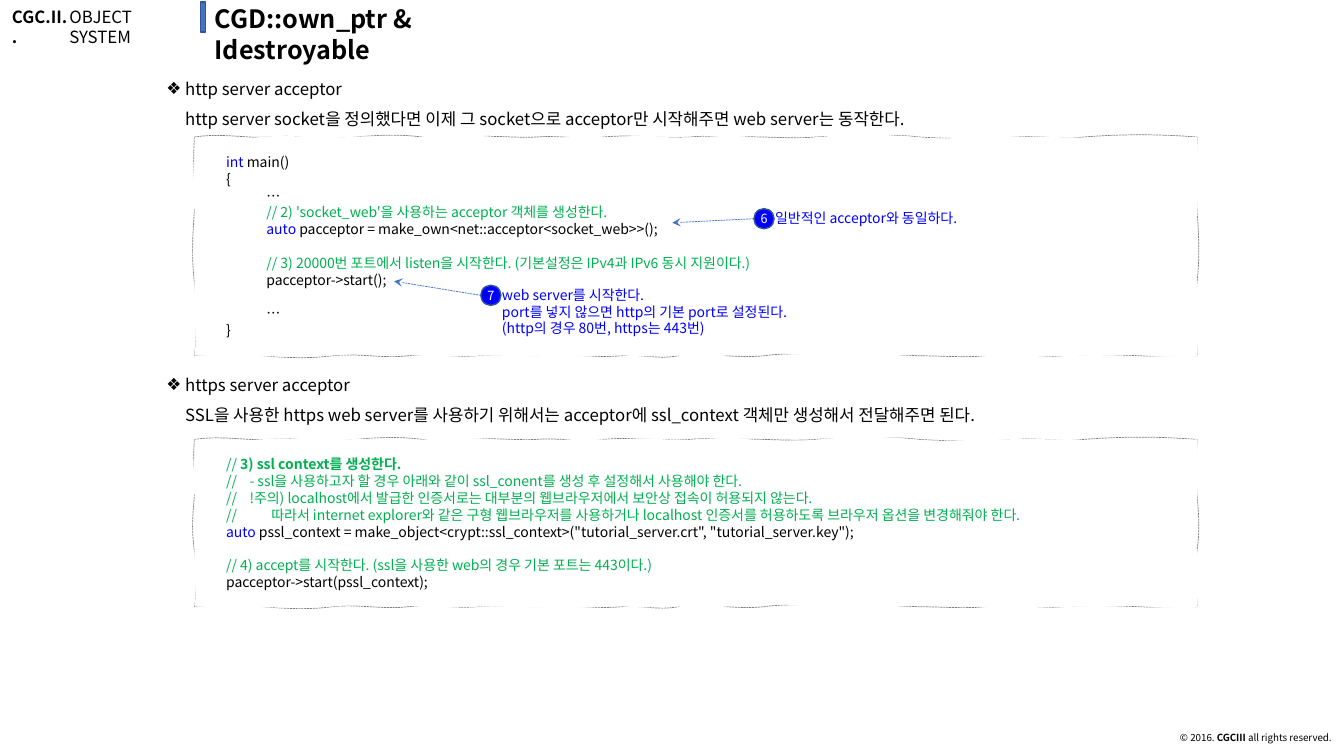
from dataclasses import dataclass
from lxml import etree
from pptx import Presentation
from pptx import util as u
from pptx.dml.color import RGBColor
from pptx.enum import dml, shapes, text
from pptx.oxml import ns

FONT = "Noto Sans CJK KR"
BLACK = RGBColor(0x00, 0x00, 0x00)
WHITE = RGBColor(0xFF, 0xFF, 0xFF)
BLUE = RGBColor(0x00, 0x00, 0xFF)
GREEN = RGBColor(0x00, 0xB0, 0x50)
GRAY = RGBColor(0x80, 0x80, 0x80)
STEEL = RGBColor(0x44, 0x72, 0xC4)
NAVY = RGBColor(0x32, 0x54, 0x91)
COLS, LEFT, WIDE, WAVE = 80, 11.58, 59.67, 0.06

deck = Presentation()
deck.slide_width, deck.slide_height = u.Emu(12192000), u.Emu(6858000)
CELL = deck.slide_width // COLS
slide = deck.slides.add_slide(deck.slide_layouts[3])


@dataclass
class Run:
    text: str
    color: RGBColor = BLACK
    bold: bool | None = None


@dataclass
class Line:
    runs: list[Run]
    gap: int = 0


@dataclass
class Panel:
    top: float
    high: float
    lines: list[Line]


@dataclass
class Topic:
    slot: int
    top: float
    words: str


@dataclass
class Note:
    mark: str
    left: float
    top: float
    high: float
    tip: tuple[float, float]
    words: str


THIRDS = (33.33, 66.67, 100)
RIM = [
    [(5.6, -3, -1), (10.4, 1, -2), (16.1, 2, 2), (22.7, -2, -3), (27.5, 3, 1),
     (34.1, -2, 1), (40.8, -2, 3), (49.5, -3, 2), (54.2, -2, 1), (62, -1, 2),
     (67.6, -2, 2), (72.3, -2, -2), (82, 2, 2), (88.7, -2, 3), (100, -3, -3)],
    list(zip(THIRDS, (0, 2, -2), (-1, 3, 1))),
    [(5.6, -1, 1), (13.4, -1, -2), (21, 2, -2), (27.8, 2, 0), (36.4, -2, 2),
     (43.2, -2, -3), (51.8, 3, -4), (57.5, 4, -2), (63.3, 2, -1), (71.9, 1, -2),
     (78.7, 2, -3), (86.3, 3, -3), (93.1, 3, 2), (100, -2, -3)],
    list(zip(THIRDS, (3, -3, 1), (2, -2, -2))),
]
PAPER = [
    [(6.6, 3, 3), (15.4, -3, 2), (25, -2, 1), (29.8, -1, -2), (37.4, 2, 2),
     (42.2, -2, 1), (46.9, -1, -2), (55.5, 2, -3), (62.3, 3, 2), (71.9, -3, -3),
     (79.7, 3, 0), (85.3, 0, -1), (100, 1, 2)],
    list(zip(THIRDS, (2, 1, 3), (0, -2, 2))),
    [(4.6, 0, 2), (12.4, -2, 0), (22, 0, 4), (29.8, -4, -2), (38.4, 2, 3),
     (47.2, -3, -4), (53.8, 4, -2), (59.6, 2, -2), (69.2, 2, 1), (77, -1, 2),
     (86.6, -2, -3), (100, 3, -2)],
    list(zip(THIRDS, (3, 0, -4), (-1, 3, 2))),
]

PANELS = [
    Panel(8.16, 13.02, [
        Line([Run("int", BLUE), Run(" main()")]),
        Line([Run("{")]),
        Line([Run("\t…")]),
        Line([Run("\t// 2) 'socket_web'을 사용하는 acceptor 객체를 생성한다.", GREEN)]),
        Line([Run("\tauto", BLUE), Run(" pacceptor = make_own<net::acceptor<socket_web>>();")]),
        Line([Run("\t// 3) 20000번 포트에서 listen을 시작한다. "
                  "(기본설정은 IPv4과 IPv6 동시 지원이다.)", GREEN)], 12),
        Line([Run("\tpacceptor->start();")]),
        Line([Run("\t…")], 12),
        Line([Run("}")]),
    ]),
    Panel(26.16, 9.96, [
        Line([Run("// ", GREEN), Run("3) ssl context를 생성한다.", GREEN, True)]),
        Line([Run("//    - ssl을 사용하고자 할 경우 아래와 같이 "
                  "ssl_conent를 생성 후 설정해서 사용해야 한다.", GREEN)]),
        Line([Run("//    !주의) localhost에서 발급한 인증서로는 대부분의 "
                  "웹브라우저에서 보안상 접속이 허용되지 않는다.", GREEN)]),
        Line([Run("//           따라서 internet explorer와 같은 구형 웹브라우저를 사용하거나 "
                  "localhost 인증서를 허용하도록 브라우저 옵션을 변경해줘야 한다.", GREEN)]),
        Line([Run("auto", BLUE), Run(' pssl_context = make_object<crypt::ssl_context>'
                                     '("tutorial_server.crt", "tutorial_server.key");')]),
        Line([Run("// 4) accept를 시작한다. (ssl을 사용한 web의 경우 기본 포트는 443이다.)", GREEN)], 12),
        Line([Run("pacceptor->start(pssl_context);")]),
    ]),
]
TOPICS = [
    Topic(1, 3.78, "http server acceptor\vhttp server socket을 정의했다면 이제 그 "
          "socket으로 acceptor만 시작해주면 web server는 동작한다."),
    Topic(2, 21.4, "https server acceptor\vSSL을 사용한 https web server를 사용하기 "
          "위해서는 acceptor에 ssl_context 객체만 생성해서 전달해주면 된다."),
]
NOTES = [
    Note("6", 44.88, 12.42, 1.62, (40.02, 13.26), "일반적인 acceptor와 동일하다."),
    Note("7", 28.62, 16.98, 3.66, (23.46, 16.74), "web server를 시작한다.\v"
         "port를 넣지 않으면 http의 기본 port로 설정된다.\v(http의 경우 80번, https는 443번)"),
]


def grid(*nums: float) -> list[u.Emu]:
    return [u.Emu(round(n * CELL)) for n in nums]


def style(par, size: float, bold: bool = False, color: RGBColor = BLACK) -> None:
    font = par.font
    font.size, font.bold, font.name = u.Pt(size), bold, FONT
    font.color.rgb = color


def fill(par, runs: list[Run]) -> None:
    for item in runs:
        run = par.add_run()
        run.text, run.font.bold = item.text, item.bold
        run.font.color.rgb = item.color


def place(shape, left: float, top: float, wide: float, high: float):
    shape.left, shape.top, shape.width, shape.height = grid(left, top, wide, high)
    frame = shape.text_frame
    frame.word_wrap, frame.auto_size = True, text.MSO_AUTO_SIZE.NONE
    frame.vertical_anchor = text.MSO_ANCHOR.TOP
    return frame.paragraphs[0]


def label(words: str, box: tuple, size: float, color: RGBColor = BLACK, bold: bool = False) -> None:
    par = place(slide.shapes.add_textbox(0, 0, 0, 0), *box)
    par.text = words
    style(par, size, bold, color)


def paint(shape, color: RGBColor, edge: RGBColor = NAVY, width: float = 1) -> None:
    shape.shadow.inherit = False
    shape.fill.solid()
    shape.fill.fore_color.rgb = color
    shape.line.color.rgb, shape.line.width = edge, u.Pt(width)


def trace(paths, sides: list, high: float, **look: str) -> None:
    wide, tall = grid(WIDE, high)
    path = etree.SubElement(paths, ns.qn("a:path"), w=str(wide), h=str(tall), **look)

    def node(tag: str, *dots: tuple) -> None:
        item = etree.SubElement(path, ns.qn(tag))
        for x, y in dots:
            px, py = grid(x, y)
            etree.SubElement(item, ns.qn("a:pt"), x=str(px), y=str(py))

    ends = [(0, 0), (WIDE, 0), (WIDE, high), (0, high), (0, 0)]
    node("a:moveTo", ends[0])
    for side, (ax, ay), (bx, by) in zip(sides, ends, ends[1:]):
        last = 0
        for share, near, far in side:
            dots = []
            for part, sway in ((1 / 3, near), (2 / 3, far), (1, 0)):
                at = (last + (share - last) * part) / 100
                dots.append((ax + (bx - ax) * at + WAVE * sway * (ax == bx),
                             ay + (by - ay) * at + WAVE * sway * (ay == by)))
            node("a:cubicBezTo", *dots)
            last = share
    node("a:close")


def panel(spec: Panel) -> None:
    pen = slide.shapes.build_freeform(*grid(LEFT, spec.top))
    right, base = grid(LEFT + WIDE, spec.top + spec.high)
    pen.add_line_segments([(right, pen._start_y), (right, base), (pen._start_x, base)])
    page = pen.convert_to_shape()
    paths = page._element.spPr.find(".//" + ns.qn("a:pathLst"))
    paths.remove(paths[0])
    trace(paths, RIM, spec.high, fill="none")
    trace(paths, PAPER, spec.high, stroke="0")
    paint(page, WHITE, GRAY, 0.5)
    page.line.dash_style = dml.MSO_LINE.SQUARE_DOT
    frame = page.text_frame
    frame.word_wrap, frame.vertical_anchor = True, text.MSO_ANCHOR.TOP
    frame.margin_left, frame.margin_top = grid(1.88, 0.98)
    for n, line in enumerate(spec.lines):
        par = frame.add_paragraph() if n else frame.paragraphs[0]
        par.alignment = text.PP_ALIGN.LEFT
        if line.gap:
            par.space_before = u.Pt(line.gap)
        tabs = etree.SubElement(par._p.get_or_add_pPr(), ns.qn("a:tabLst"))
        etree.SubElement(tabs, ns.qn("a:tab"), pos=str(grid(2.4)[0]), algn="l")
        style(par, 10)
        fill(par, line.runs)


def topic(spec: Topic) -> None:
    par = place(slide.placeholders[spec.slot], 9.3, spec.top, 64.2, 3.96)
    par.text = spec.words
    par.line_spacing, par.space_before = 1.5, u.Pt(0)
    props, dent = par._p.get_or_add_pPr(), grid(1.12)[0]
    props.set("marL", str(dent))
    props.set("indent", str(-dent))
    etree.SubElement(props, ns.qn("a:buChar"), char="❖")
    style(par, 12)


def note(spec: Note) -> None:
    label(spec.words, (spec.left + 0.67, spec.top - 0.24, 26, spec.high), 10, BLUE)
    dot = slide.shapes.add_shape(shapes.MSO_SHAPE.OVAL, *grid(spec.left, spec.top, 1.2, 1.2))
    paint(dot, BLUE)
    frame = dot.text_frame
    frame.word_wrap, frame.vertical_anchor = False, text.MSO_ANCHOR.MIDDLE
    frame.margin_left = frame.margin_right = frame.margin_top = frame.margin_bottom = 0
    par = frame.paragraphs[0]
    par.text, par.alignment = spec.mark, text.PP_ALIGN.CENTER
    style(par, 9, False, WHITE)
    link = slide.shapes.add_connector(
        shapes.MSO_CONNECTOR.STRAIGHT, *grid(spec.left, spec.top + 0.6, *spec.tip))
    link.line.color.rgb, link.line.width = STEEL, u.Pt(0.5)
    link.line.dash_style = dml.MSO_LINE.SQUARE_DOT
    etree.SubElement(link.line._get_or_add_ln(), ns.qn("a:tailEnd"), type="stealth")
    etree.SubElement(link._element.spPr, ns.qn("a:effectLst"))


def main() -> None:
    head = place(slide.shapes.title, 12.18, -0.08, 22, 2.4)
    head.text, head.alignment = "CGD::own_ptr & Idestroyable", text.PP_ALIGN.LEFT
    style(head, 18, True)
    label("OBJECT SYSTEM", (3.54, 0.12, 8.4, 1.8), 12)
    label("CGC.II..", (0.12, 0.12, 4.62, 1.8), 12, BLACK, True)
    bar = slide.shapes.add_shape(shapes.MSO_SHAPE.RECTANGLE, *grid(11.94, 0.12, 0.3, 1.8))
    paint(bar, STEEL)
    for draw, specs in ((panel, PANELS), (topic, TOPICS), (note, NOTES)):
        for spec in specs:
            draw(spec)
    foot = place(slide.shapes.add_textbox(0, 0, 0, 0), 63.96, 43.36, 15.9, 1.56)
    foot.alignment, foot.line_spacing = text.PP_ALIGN.RIGHT, 0.9
    style(foot, 7)
    fill(foot, [Run("© 2016. "), Run("CGCIII", BLACK, True), Run(" all rights reserved.")])
    deck.save("out.pptx")


if __name__ == "__main__":
    main()
